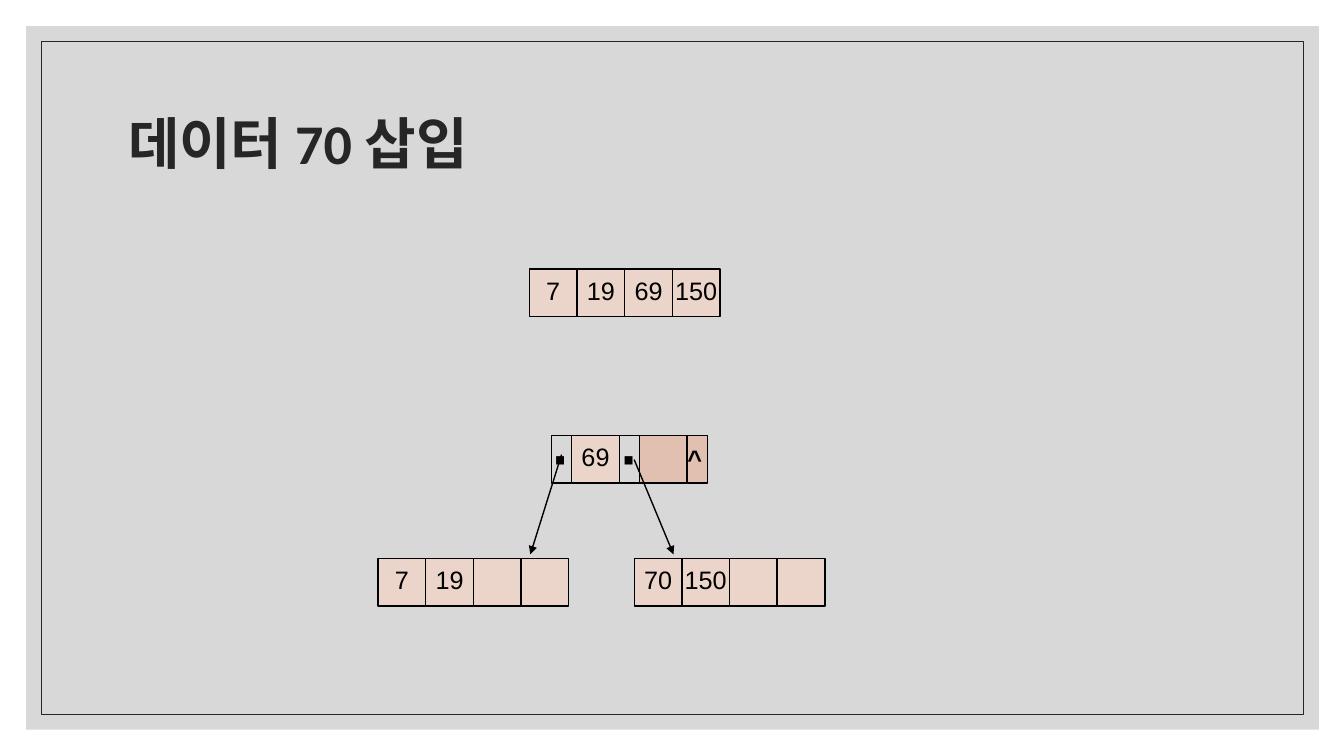
from dataclasses import dataclass
from typing import Optional

from lxml.etree import SubElement
from pptx import Presentation
from pptx.dml.color import RGBColor
from pptx.enum.shapes import MSO_CONNECTOR, MSO_SHAPE
from pptx.enum.text import MSO_ANCHOR, MSO_AUTO_SIZE, PP_ALIGN
from pptx.oxml.ns import qn
from pptx.util import Inches, Pt

BLACK = RGBColor(0x00, 0x00, 0x00)
DARK = RGBColor(0x26, 0x26, 0x26)
GREY = RGBColor(0xBF, 0xBF, 0xBF)
PINK = RGBColor(0xEB, 0xD5, 0xCB)
ROSE = RGBColor(0xE1, 0xC0, 0xB1)
SIDE = 0.473  # side of a key cell
SLOT = 0.2  # width of a pointer cell


@dataclass
class Cell:
    text: str = ""
    fill: Optional[RGBColor] = PINK
    width: float = SIDE


@dataclass
class Node:
    left: float
    top: float
    cells: list[Cell]


@dataclass
class Mark:
    text: str
    left: float
    top: float
    width: float
    height: float
    size: int


@dataclass
class Arrow:
    start: tuple[float, float]
    end: tuple[float, float]


def keys(*texts: str) -> list[Cell]:
    return [Cell(text) for text in texts]


NODES = [
    Node(5.25, 2.67, keys("7", "19", "69", "150")),
    Node(5.47, 4.32, [
        Cell(fill=None, width=SLOT),
        Cell("69"),
        Cell(fill=None, width=SLOT),
        Cell(fill=ROSE),
        Cell(fill=ROSE, width=SLOT),
    ]),
    Node(3.75, 5.54, keys("7", "19", "", "")),
    Node(6.29, 5.54, keys("70", "150", "", "")),
]
MARKS = [
    Mark("·", 5.38, 4.28, 0.35, 0.64, 40),
    Mark("·", 6.06, 4.28, 0.35, 0.64, 40),
    Mark("^", 6.72, 4.41, 0.38, 0.34, 18),
]
ARROWS = [
    Arrow((5.57, 4.51), (5.26, 5.5)),
    Arrow((6.29, 4.56), (6.68, 5.5)),
]


def write(shape, text: str, *, size: int = 18, font: str = "Arial",
          color: RGBColor = BLACK, bold: bool = False, wrap: bool = False,
          align=PP_ALIGN.LEFT, anchor=MSO_ANCHOR.TOP,
          pitch: float = 0.8) -> None:
    frame = shape.text_frame
    frame.text = text
    frame.auto_size = MSO_AUTO_SIZE.NONE
    frame.word_wrap = wrap
    frame.vertical_anchor = anchor
    para = frame.paragraphs[0]
    para.alignment = align
    para.line_spacing = pitch
    face = para.runs[0].font
    face.name, face.size, face.bold = font, Pt(size), bold
    face.color.rgb = color


def draw_box(slide, left: float, top: float, width: float, height: float, *,
             fill: Optional[RGBColor] = None, line: Optional[RGBColor] = None,
             weight: float = 1):
    box = slide.shapes.add_shape(
        MSO_SHAPE.RECTANGLE,
        Inches(left), Inches(top), Inches(width), Inches(height))
    box.shadow.inherit = False
    if fill is None:
        box.fill.background()
    else:
        box.fill.solid()
        box.fill.fore_color.rgb = fill
    if line is None:
        box.line.fill.background()
    else:
        box.line.color.rgb = line
        box.line.width = Pt(weight)
    return box


def draw_node(slide, node: Node) -> None:
    left = node.left
    for cell in node.cells:
        box = draw_box(slide, left, node.top, cell.width, SIDE,
                       fill=cell.fill, line=BLACK)
        if cell.text:
            write(box, cell.text, align=PP_ALIGN.CENTER,
                  anchor=MSO_ANCHOR.MIDDLE)
        left += cell.width


def draw_mark(slide, mark: Mark) -> None:
    box = slide.shapes.add_textbox(Inches(mark.left), Inches(mark.top),
                                   Inches(mark.width), Inches(mark.height))
    write(box, mark.text, size=mark.size, bold=True)


def draw_arrow(slide, arrow: Arrow) -> None:
    ends = [Inches(n) for n in (*arrow.start, *arrow.end)]
    link = slide.shapes.add_connector(MSO_CONNECTOR.STRAIGHT, *ends)
    link.line.color.rgb = BLACK
    link.line.width = Pt(1)
    SubElement(link.line._get_or_add_ln(), qn("a:tailEnd"), type="triangle")
    SubElement(link.element.spPr, qn("a:effectLst"))


def main() -> None:
    deck = Presentation()
    deck.slide_width, deck.slide_height = Inches(13.33), Inches(7.5)
    slide = deck.slides.add_slide(deck.slide_layouts[5])

    # Grey panel and its thin frame
    panel = draw_box(slide, 0.26, 0.26, 12.82, 6.98, fill=GREY)
    tint = panel.element.spPr.find(qn("a:solidFill"))[0]
    SubElement(tint, qn("a:alpha"), val="60000")
    draw_box(slide, 0.41, 0.41, 12.52, 6.68, line=DARK, weight=0.5)

    # Title, brought in front of the panel
    title = slide.shapes.title
    title.left, title.top = Inches(1.17), Inches(0.7)
    title.width, title.height = Inches(11), Inches(1.5)
    write(title, "데이터 70 삽입", size=40, font="Calibri", color=DARK,
          bold=True, wrap=True, anchor=MSO_ANCHOR.MIDDLE, pitch=0.9)
    title.element.getparent().append(title.element)

    # Tree before and after the split
    for node in NODES:
        draw_node(slide, node)
    for mark in MARKS:
        draw_mark(slide, mark)
    for arrow in ARROWS:
        draw_arrow(slide, arrow)

    deck.save("out.pptx")


if __name__ == "__main__":
    main()
